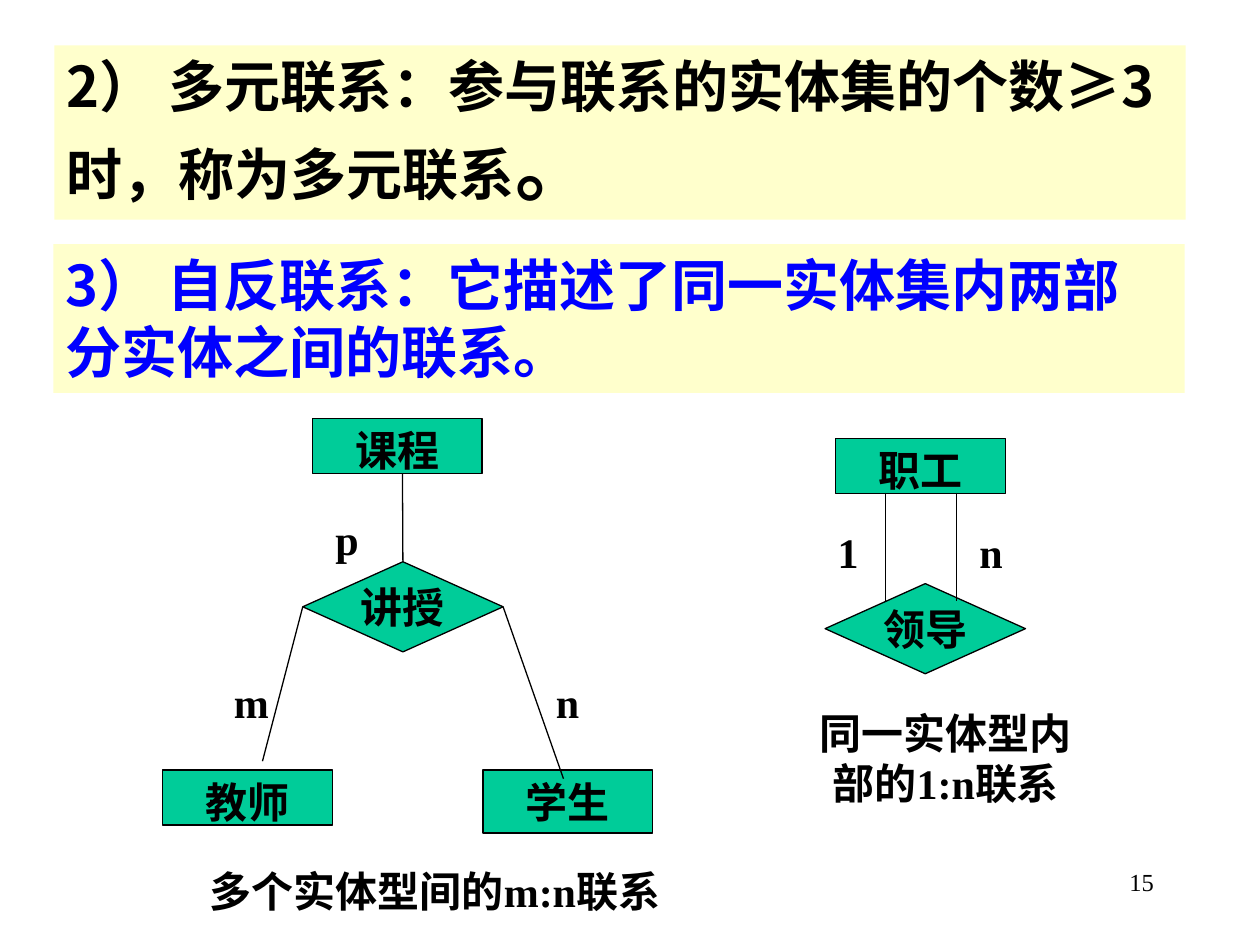
"""Build a slide on multi-entity and reflexive relationships with two ER diagrams."""
import pptx
import pptx.dml.color
import pptx.enum.shapes
import pptx.enum.text
import pptx.oxml.ns
import pptx.util
from lxml import etree

Pt = pptx.util.Pt
SHAPE = pptx.enum.shapes.MSO_SHAPE
ALIGN = pptx.enum.text.PP_ALIGN
ANCHOR = pptx.enum.text.MSO_ANCHOR
qn = pptx.oxml.ns.qn
CJK = "Noto Sans CJK SC"
SERIF = "Times New Roman"


def color(hex_text):
    return pptx.dml.color.RGBColor.from_string(hex_text)


def write(shape, text, size=24, font=SERIF, ink="000000", bold=True,
          align=ALIGN.CENTER, anchor=ANCHOR.TOP, wrap=True):
    frame = shape.text_frame
    frame.word_wrap = wrap
    frame.vertical_anchor = anchor
    paragraph = frame.paragraphs[0]
    paragraph.alignment = align
    run = paragraph.add_run()
    run.text = text
    run.font.size = Pt(size)
    run.font.bold = bold
    run.font.color.rgb = color(ink)
    run.font.name = font
    etree.SubElement(run.font._element, qn("a:ea")).set("typeface", CJK)


deck = pptx.Presentation()
deck.slide_width = Pt(720)
deck.slide_height = Pt(540)
slide = deck.slides.add_slide(deck.slide_layouts[6])

page_number = slide.shapes.add_textbox(Pt(516.5), Pt(492), Pt(150), Pt(36))
write(page_number, "15", size=14, bold=False, align=ALIGN.RIGHT)

definitions = [
    (31, 26, 99.5, "000000",
     [("2） 多元联系：参与联系的实体集的个数≥3时，称为多元联系", 32), ("。", 44)]),
    (30.5, 139.5, 85, "0000FF",
     [("3） 自反联系：它描述了同一实体集内两部分实体之间的联系。", 32)]),
]
for left, top, height, ink, pieces in definitions:
    definition = slide.shapes.add_shape(SHAPE.RECTANGLE, Pt(left), Pt(top), Pt(646.5), Pt(height))
    definition.shadow.inherit = False
    definition.fill.solid()
    definition.fill.fore_color.rgb = color("FFFFCC")
    definition.line.fill.background()
    for text, size in pieces:
        write(definition, text, size=size, font=CJK, ink=ink, align=ALIGN.LEFT)

diagrams = [
    {
        "entities": [("职工", 477.5, 250.5, 31.5)],
        "relation": ("领导", 471.5, 333.5),
        "links": [(506, 281.5, 506, 343.5, None), (546.5, 281.5, 546.5, 343.5, None)],
        "labels": [("1", 471.5, 297.5), ("n", 552.5, 297.5)],
        "caption": ("同一实体型内部的1:n联系", 454.5, 400.5, 172, 55.5),
    },
    {
        "entities": [("课程", 178.5, 239, 31.5), ("教师", 93, 440, 31.5), ("学生", 276, 440, 36)],
        "relation": ("讲授", 173, 321),
        "links": [(230, 270.5, 230, 321, 0), (150, 435, 173, 347, 1), (322, 445, 287.5, 347, 3)],
        "labels": [("p", 184.5, 290), ("m", 126.5, 383), ("n", 310.5, 383)],
        "caption": ("多个实体型间的m:n联系", 93, 491, 311, 36),
    },
]
for diagram in diagrams:
    group = slide.shapes.add_group_shape()
    nodes = [(SHAPE.RECTANGLE, text, left, top, 97, height, ANCHOR.TOP, True)
             for text, left, top, height in diagram["entities"]]
    nodes.append((SHAPE.DIAMOND, *diagram["relation"], 114.5, 51.5, ANCHOR.MIDDLE, False))
    for outline, text, left, top, width, height, anchor, wrap in nodes:
        node = group.shapes.add_shape(outline, Pt(left), Pt(top), Pt(width), Pt(height))
        node.shadow.inherit = False
        node.fill.solid()
        node.fill.fore_color.rgb = color("00CC99")
        node.line.color.rgb = color("000000")
        node.line.width = Pt(0.75)
        write(node, text, anchor=anchor, wrap=wrap)
    relation = node

    for x1, y1, x2, y2, side in diagram["links"]:
        link = group.shapes.add_connector(pptx.enum.shapes.MSO_CONNECTOR.STRAIGHT,
                                          Pt(x1), Pt(y1), Pt(x2), Pt(y2))
        if side is not None:
            link.end_connect(relation, side)
        link.line.color.rgb = color("000000")
        link.line.width = Pt(0.75)
        etree.SubElement(link._element.spPr, qn("a:effectLst"))

    for text, left, top in diagram["labels"]:
        label = group.shapes.add_textbox(Pt(left), Pt(top), Pt(29), Pt(31))
        write(label, text, align=ALIGN.LEFT)

    text, left, top, width, height = diagram["caption"]
    caption = group.shapes.add_textbox(Pt(left), Pt(top), Pt(width), Pt(height))
    write(caption, text)

deck.save("out.pptx")
